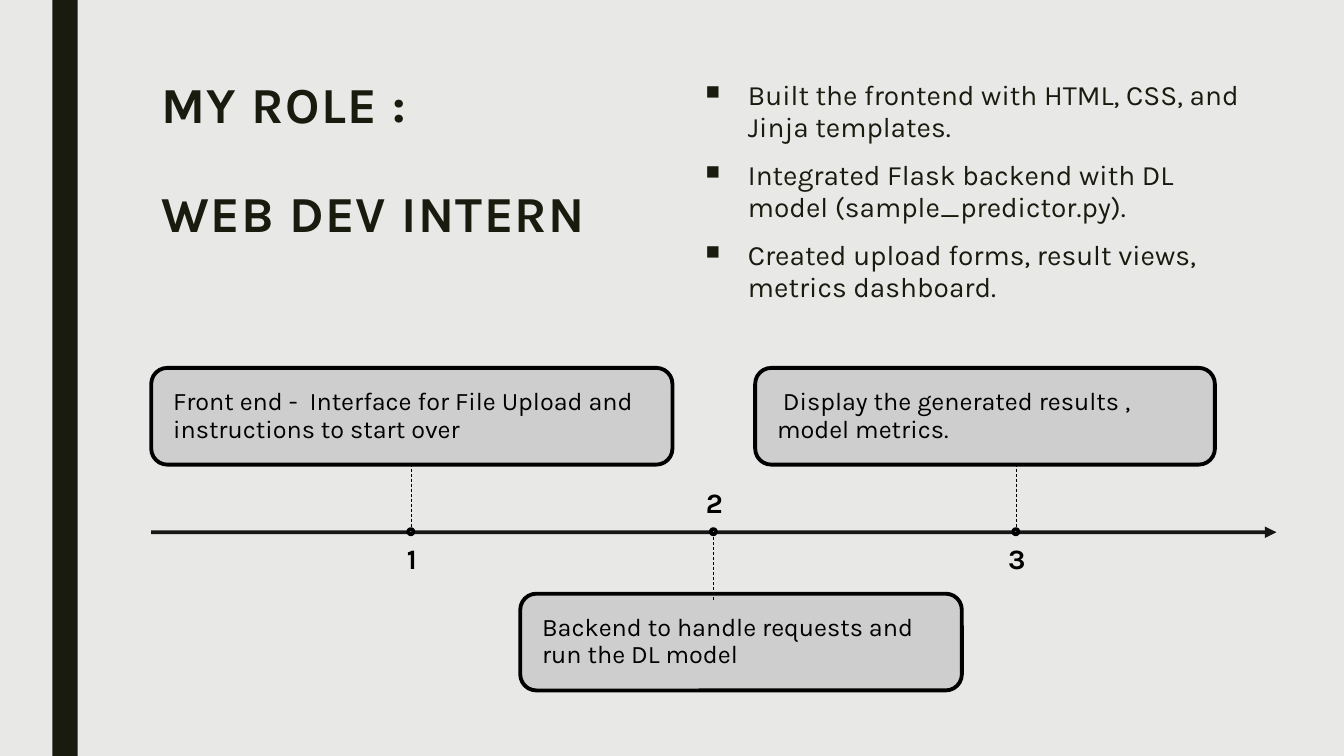
from lxml import etree
from pptx import Presentation
from pptx.dml.color import RGBColor
from pptx.enum.dml import MSO_LINE
from pptx.enum.shapes import MSO_CONNECTOR, MSO_SHAPE
from pptx.enum.text import MSO_ANCHOR, PP_ALIGN
from pptx.oxml.ns import qn
from pptx.util import Inches, Pt

RECT, ROUND, OVAL = MSO_SHAPE.RECTANGLE, MSO_SHAPE.ROUNDED_RECTANGLE, MSO_SHAPE.OVAL
STRAIGHT, DASH = MSO_CONNECTOR.STRAIGHT, MSO_LINE.DASH
TOP, MIDDLE, BOTTOM = MSO_ANCHOR.TOP, MSO_ANCHOR.MIDDLE, MSO_ANCHOR.BOTTOM
LEFT, CENTER = PP_ALIGN.LEFT, PP_ALIGN.CENTER
FONT, INK, BLACK = "Karla", "191B0E", "000000"
AXIS = 5.28
TITLE = ["MY ROLE :", "WEB DEV INTERN"]
TASKS = [
    "Built the frontend with HTML, CSS, and Jinja templates.",
    "Integrated Flask backend with DL model (sample_predictor.py).",
    "Created upload forms, result views, metrics dashboard.",
]
STEPS = [
    (1.5, 5.17, True, "Front end -  Interface for File Upload and instructions to start over"),
    (5.16, 4.38, False, "Backend to handle requests and run the DL model"),
    (7.49, 4.56, True, " Display the generated results , model metrics."),
]


def paint(color, value):
    color.rgb = RGBColor.from_string(value)


def add_tag(parent, name, **attrs):
    return etree.SubElement(parent, qn(name), attrs)


def fade(fill):
    for color in fill.iter(qn("a:srgbClr")):
        add_tag(color, "a:alpha", val="90000")


def add_text(shape, lines, size, color, bold=False, align=LEFT,
             anchor=TOP, inset=(0.1, 0.05), pitch=0.9):
    frame = shape.text_frame
    frame.word_wrap = True
    frame.vertical_anchor = anchor
    frame.margin_left = frame.margin_right = Inches(inset[0])
    frame.margin_top = frame.margin_bottom = Inches(inset[1])
    frame.text = "\n".join(lines)
    for para in frame.paragraphs:
        para.alignment = align
        para.line_spacing = pitch
        para.font.name, para.font.size, para.font.bold = FONT, Pt(size), bold
        paint(para.font.color, color)
    return frame.paragraphs


def add_box(slide, kind, place, fill, width=0):
    shape = slide.shapes.add_shape(kind, *map(Inches, place))
    shape.shadow.inherit = False
    shape.fill.solid()
    paint(shape.fill.fore_color, fill)
    if width:
        paint(shape.line.color, BLACK)
        shape.line.width = Pt(width)
    else:
        shape.line.fill.background()
    return shape


def add_line(slide, start, end, width):
    line = slide.shapes.add_connector(STRAIGHT, *map(Inches, start + end))
    paint(line.line.color, BLACK)
    line.line.width = Pt(width)
    add_tag(line._element.spPr, "a:effectLst")
    return line


def add_axis(slide):
    axis = add_line(slide, (1.5, AXIS), (12.66, AXIS), 2.75)
    stroke = axis.line._get_or_add_ln()
    fade(stroke)
    add_tag(stroke, "a:tailEnd", type="triangle")


def add_step(slide, index, left, width, above, text):
    mid = 4.08 + 3 * index
    top, edge, label = (3.65, 4.6, 5.41) if above else (5.89, 5.95, 4.75)
    card = add_box(slide, ROUND, (left, top, width, 0.96), "CCCCCC", 2.75)
    fade(card._element.spPr.find(qn("a:solidFill")))
    add_text(card, [text], 18, BLACK, anchor=MIDDLE, inset=(0.17, 0.17))
    add_line(slide, (mid, edge), (mid, AXIS), 0.5).line.dash_style = DASH
    add_box(slide, OVAL, (mid - 0.03, AXIS - 0.03, 0.05, 0.05), "FFFFFF", 2.75)
    number = slide.shapes.add_textbox(*map(Inches, (mid - 2.27, label, 4.55, 0.4)))
    add_text(number, [str(index + 1)], 20, BLACK, True, CENTER,
             TOP if above else BOTTOM, (0, 0))


def add_title(slide):
    box = slide.shapes.add_textbox(*map(Inches, (1.5, 0.75, 5.1, 2.6)))
    paras = add_text(box, TITLE, 36, INK, True, pitch=0.89)
    paras[1].space_before = Pt(39.5)
    for para in paras:
        para.runs[0].font._element.set("spc", "100")


def add_tasks(slide):
    box = slide.shapes.add_textbox(*map(Inches, (6.9, 0.75, 5.7, 2.6)))
    for para in add_text(box, TASKS, 20, INK, pitch=0.94):
        para.space_before, para.space_after = Pt(10), Pt(2)
        props = para._p.get_or_add_pPr()
        props.set("marL", str(Inches(0.42)))
        props.set("indent", str(-Inches(0.42)))
        font = props.find(qn("a:defRPr"))
        size = etree.Element(qn("a:buSzPct"), val="70000")
        mark = etree.Element(qn("a:buChar"), char="■")
        for tag in (size, mark):
            font.addprevious(tag)


def main():
    deck = Presentation()
    deck.slide_width, deck.slide_height = Inches(13.33), Inches(7.5)
    slide = deck.slides.add_slide(deck.slide_layouts[6])
    slide.background.fill.solid()
    paint(slide.background.fill.fore_color, "E8E8E7")
    add_box(slide, RECT, (0.52, 0, 0.25, 7.5), INK)
    add_axis(slide)
    for index, step in enumerate(STEPS):
        add_step(slide, index, *step)
    add_title(slide)
    add_tasks(slide)
    deck.save("out.pptx")


if __name__ == "__main__":
    main()
